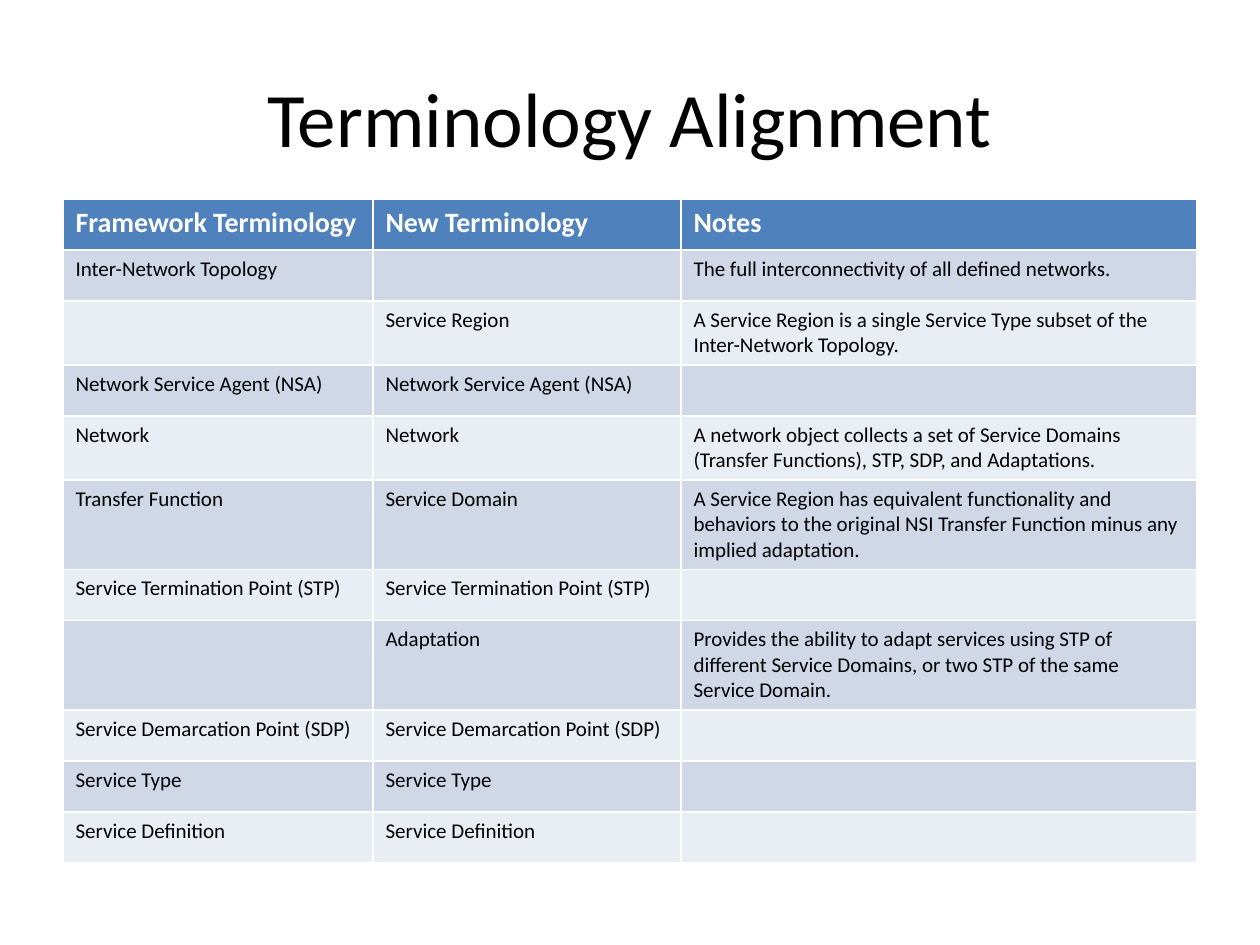
from pptx import Presentation
from pptx import util as u
from pptx.dml.color import RGBColor
from pptx.enum import text

PX_PER_INCH = 126
FONT = "Calibri"
BLACK = RGBColor(0x00, 0x00, 0x00)
WHITE = RGBColor(0xFF, 0xFF, 0xFF)
HEADER_BLUE = RGBColor(0x4F, 0x81, 0xBD)
BANDS = (RGBColor(0xE9, 0xED, 0xF4), RGBColor(0xD0, 0xD8, 0xE8))

COLUMN_WIDTHS = (310, 308, 516)
ROW_HEIGHT = 51
NSA = "Network Service Agent (NSA)"
STP = "Service Termination Point (STP)"
SDP = "Service Demarcation Point (SDP)"
TERMS = (
    ("Framework Terminology", "New Terminology", "Notes"),
    ("Inter-Network Topology", "", "The full interconnectivity of all defined networks."),
    ("", "Service Region",
     "A Service Region is a single Service Type subset of the Inter-Network Topology."),
    (NSA, NSA, ""),
    ("Network", "Network",
     "A network object collects a set of Service Domains (Transfer Functions), "
     "STP, SDP, and Adaptations."),
    ("Transfer Function", "Service Domain",
     "A Service Region has equivalent functionality and behaviors to the original "
     "NSI Transfer Function minus any implied adaptation."),
    (STP, STP, ""),
    ("", "Adaptation",
     "Provides the ability to adapt services using STP of different Service Domains, "
     "or two STP of the same Service Domain."),
    (SDP, SDP, ""),
    ("Service Type", "Service Type", ""),
    ("Service Definition", "Service Definition", ""),
)


def px(length):
    return u.Inches(length / PX_PER_INCH)


def style_paragraph(para, size, color, bold=False):
    para.font.name = FONT
    para.font.size = u.Pt(size)
    para.font.bold = bold
    para.font.color.rgb = color


def place_title(page, left, top, width, height):
    title = page.shapes.title
    title.left, title.top = px(left), px(top)
    title.width, title.height = px(width), px(height)
    title.text_frame.text = "Terminology Alignment"
    title.text_frame.vertical_anchor = text.MSO_ANCHOR.MIDDLE
    para = title.text_frame.paragraphs[0]
    para.alignment = text.PP_ALIGN.CENTER
    style_paragraph(para, 44, BLACK)


def place_terms(page, left, top):
    frame = page.shapes.add_table(
        len(TERMS), len(COLUMN_WIDTHS), px(left), px(top),
        px(sum(COLUMN_WIDTHS)), px(ROW_HEIGHT * len(TERMS)))
    table = frame.table
    for column, width in zip(table.columns, COLUMN_WIDTHS):
        column.width = px(width)
    for index, (row, words) in enumerate(zip(table.rows, TERMS)):
        row.height = px(ROW_HEIGHT)
        header = index == 0
        for cell, wording in zip(row.cells, words):
            cell.fill.solid()
            cell.fill.fore_color.rgb = HEADER_BLUE if header else BANDS[index % 2]
            if wording:
                cell.text = wording
                style_paragraph(cell.text_frame.paragraphs[0], 16 if header else 12,
                                WHITE if header else BLACK, header)


def main():
    deck = Presentation()
    deck.slide_width, deck.slide_height = px(1260), px(945)
    page = deck.slides.add_slide(deck.slide_layouts[5])
    place_title(page, 63, 38, 1134, 158)
    place_terms(page, 63, 199)
    deck.save("out.pptx")


if __name__ == "__main__":
    main()
